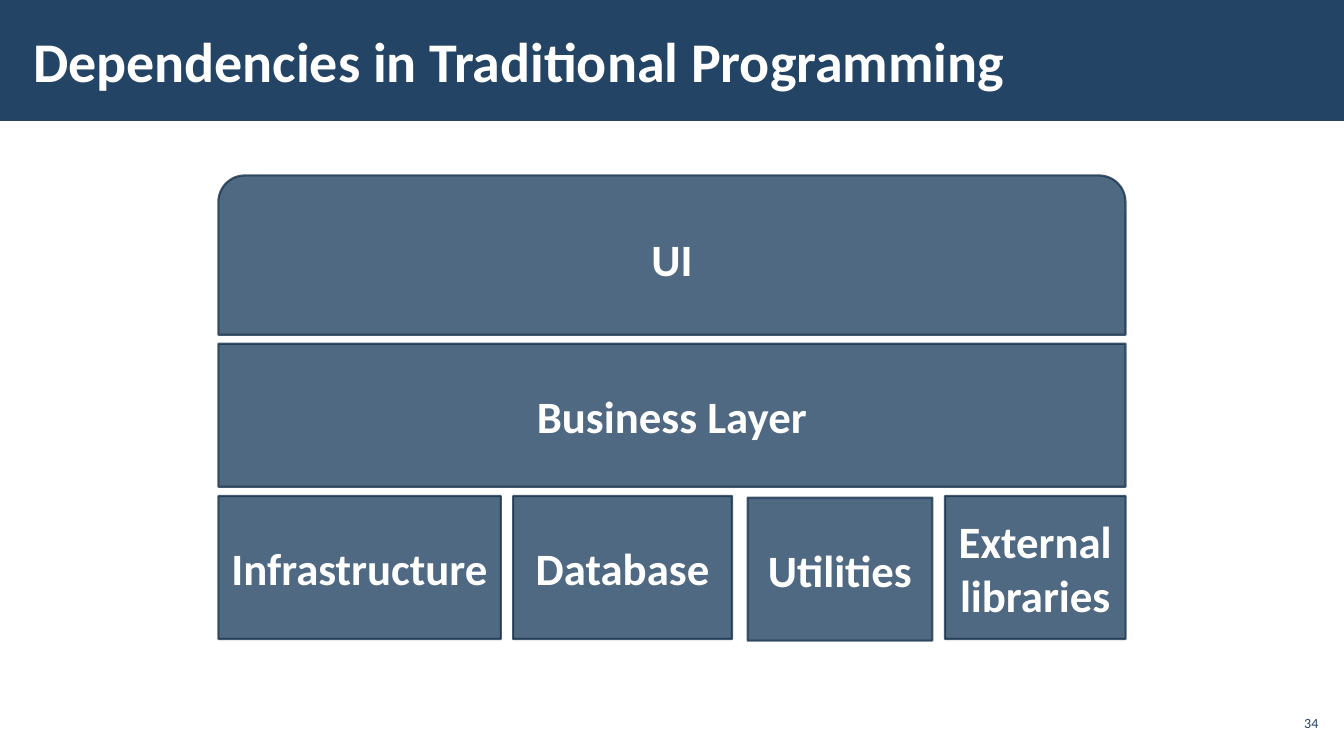
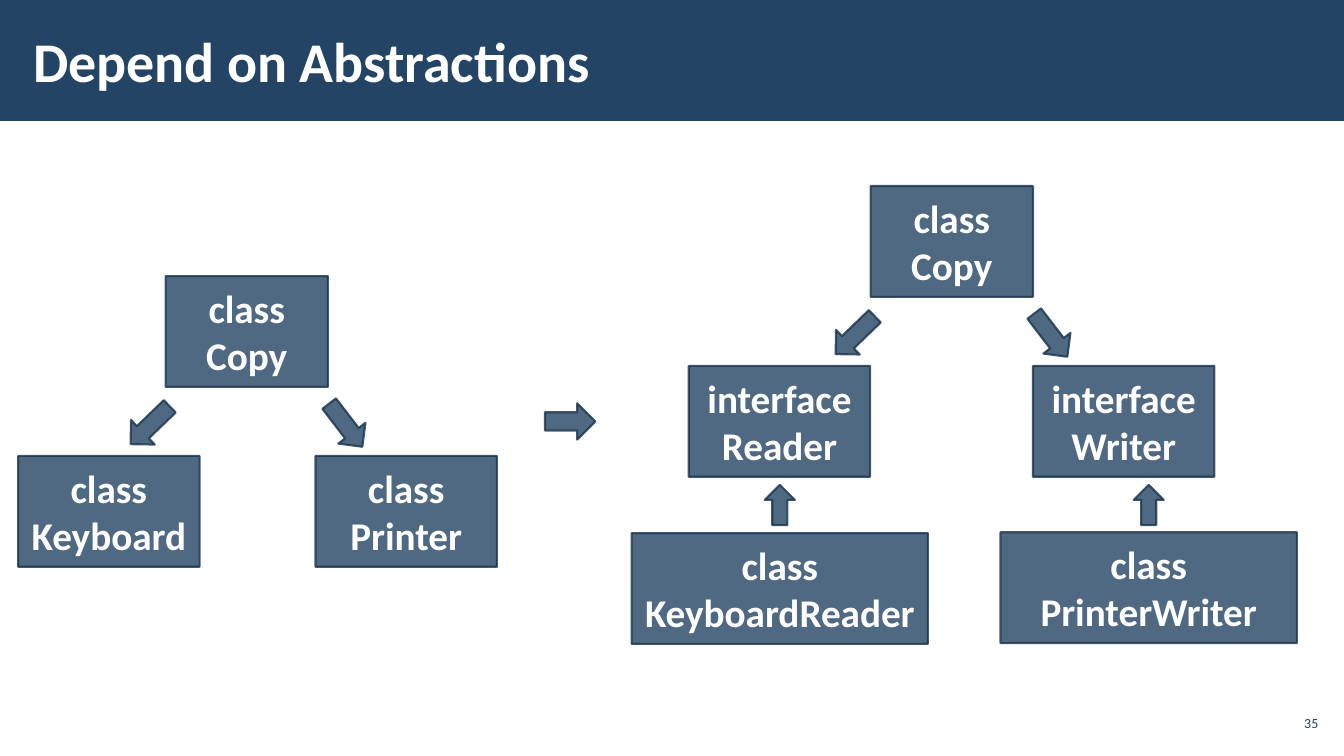
"""Build two slides on dependencies between layers and between classes."""
import lxml.etree
import pptx
import pptx.dml.color
import pptx.enum.shapes
import pptx.enum.text
import pptx.oxml.ns
import pptx.util

Pt = pptx.util.Pt
RGBColor = pptx.dml.color.RGBColor
SHAPE = pptx.enum.shapes.MSO_SHAPE
ALIGN = pptx.enum.text.PP_ALIGN
MIDDLE = pptx.enum.text.MSO_ANCHOR.MIDDLE

NAVY = RGBColor(0x23, 0x44, 0x65)
DARK_NAVY = RGBColor(0x1A, 0x33, 0x4C)
WHITE = RGBColor(0xFF, 0xFF, 0xFF)
FONT = "Calibri"
SLIDE_WIDTH, SLIDE_HEIGHT = 960, 540
CLASS_HEIGHT = 79.2
CLASS_WIDTH = 129.6
COPY_WIDTH = 116
IMPLEMENTER_WIDTH = 211.7


def place(shape, left, top, width, height):
    """Set the position and size of a shape in points."""
    shape.left, shape.top = Pt(left), Pt(top)
    shape.width, shape.height = Pt(width), Pt(height)


def set_margins(frame, horizontal, vertical):
    """Set the inner margins of a text frame in points."""
    frame.margin_left = frame.margin_right = Pt(horizontal)
    frame.margin_top = frame.margin_bottom = Pt(vertical)


def write(frame, text, size, color, align, bold=True):
    """Fill a text frame with paragraphs of one style."""
    frame.text = text
    frame.word_wrap = True
    frame.vertical_anchor = MIDDLE
    for paragraph in frame.paragraphs:
        paragraph.alignment = align
        font = paragraph.font
        font.name, font.size, font.bold = FONT, Pt(size), bold
        font.color.rgb = color


def add_block(shapes, kind, left, top, width, height, text="", size=28, rotation=0):
    """Add a translucent navy shape with an optional centred label."""
    block = shapes.add_shape(kind, Pt(left), Pt(top), Pt(width), Pt(height))
    block.rotation = rotation
    block.shadow.inherit = False
    block.fill.solid()
    block.fill.fore_color.rgb = NAVY
    block.line.color.rgb = DARK_NAVY
    block.line.width = Pt(1.5)
    qn = pptx.oxml.ns.qn
    for color in block.element.spPr.iter(qn("a:srgbClr")):
        lxml.etree.SubElement(color, qn("a:alpha")).set("val", "80000")
    if text:
        write(block.text_frame, text, size, WHITE, ALIGN.CENTER)


def style_layout(layout, slide):
    """Give the layout its title position and the navy band."""
    title = layout.placeholders[0]
    place(title, 15, 8, 749, 70)
    set_margins(title.text_frame, 8.6, 2.9)
    band = slide.shapes.add_shape(SHAPE.RECTANGLE, 0, 0, Pt(SLIDE_WIDTH), Pt(86.4))
    band.shadow.inherit = False
    band.fill.solid()
    band.fill.fore_color.rgb = NAVY
    band.line.fill.background()
    layout.shapes.element.insert(2, band.element)


def add_heading(slide, title, number):
    """Write the slide title and the page number."""
    write(slide.shapes.title.text_frame, title, 40, WHITE, ALIGN.LEFT)
    page = slide.shapes.add_textbox(Pt(910.8), Pt(504), Pt(33.8), Pt(24.5))
    set_margins(page.text_frame, 2.9, 2.9)
    write(page.text_frame, str(number), 10, NAVY, ALIGN.RIGHT, bold=False)


def add_layers(slide):
    """Draw the stack of application layers."""
    left, width, height = 156, 648, 102.2
    add_block(slide.shapes, SHAPE.ROUND_2_SAME_RECTANGLE, left, 125.3, width, 113.8, "UI", 32)
    add_block(slide.shapes, SHAPE.RECTANGLE, left, 245.5, width, height, "Business Layer", 32)
    foundations = [
        ("Infrastructure", left, 354.3, 201.8),
        ("Database", 366.5, 354.3, 156.4),
        ("Utilities", 534, 355.4, 132),
        ("External libraries", 675, 354.3, 129),
    ]
    for text, x, y, part_width in foundations:
        add_block(slide.shapes, SHAPE.RECTANGLE, x, y, part_width, height, text, 32)


def add_dependency_tree(slide, copy_left, copy_top, children):
    """Draw the Copy class above its two dependencies and return the group's shapes."""
    shapes = slide.shapes.add_group_shape().shapes
    add_block(shapes, SHAPE.RECTANGLE, copy_left, copy_top, COPY_WIDTH, CLASS_HEIGHT, "class\nCopy")
    for text, left in children:
        add_block(shapes, SHAPE.RECTANGLE, left, copy_top + 128.5, CLASS_WIDTH, CLASS_HEIGHT, text)
    for offset, rotation in ((-30.5, 136), (109.2, 52.5)):
        add_block(shapes, SHAPE.RIGHT_ARROW, copy_left + offset, copy_top + 94.3, 38.9, 24.5,
                  rotation=rotation)
    return shapes


def add_implementer(shapes, text, left, top):
    """Draw an implementing class with an arrow up to its interface."""
    add_block(shapes, SHAPE.RECTANGLE, left, top, IMPLEMENTER_WIDTH, CLASS_HEIGHT, text)
    arrow_width = 21.6
    add_block(shapes, SHAPE.UP_ARROW, left + (IMPLEMENTER_WIDTH - arrow_width) / 2, 346.3,
              arrow_width, 28.8)


def add_abstractions(slide):
    """Draw the concrete dependencies and their abstract replacement."""
    add_dependency_tree(slide, 118.3, 197.2, [("class\nKeyboard", 13), ("class\nPrinter", 225.4)])
    abstract = add_dependency_tree(
        slide, 621.9, 132.9, [("interface\nReader", 492), ("interface\nWriter", 737.9)])
    add_implementer(abstract, "class\nKeyboardReader", 451.2, 380.8)
    add_implementer(abstract, "class\nPrinterWriter", 714.7, 380.2)
    add_block(slide.shapes, SHAPE.RIGHT_ARROW, 389.3, 288, 36, 26)


def main():
    """Build and save the presentation."""
    deck = pptx.Presentation()
    deck.slide_width, deck.slide_height = Pt(SLIDE_WIDTH), Pt(SLIDE_HEIGHT)
    layout = deck.slide_layouts[5]
    layers = deck.slides.add_slide(layout)
    style_layout(layout, layers)
    add_heading(layers, "Dependencies in Traditional Programming", 34)
    add_layers(layers)
    abstractions = deck.slides.add_slide(layout)
    add_heading(abstractions, "Depend on Abstractions", 35)
    add_abstractions(abstractions)
    deck.save("out.pptx")


if __name__ == "__main__":
    main()
